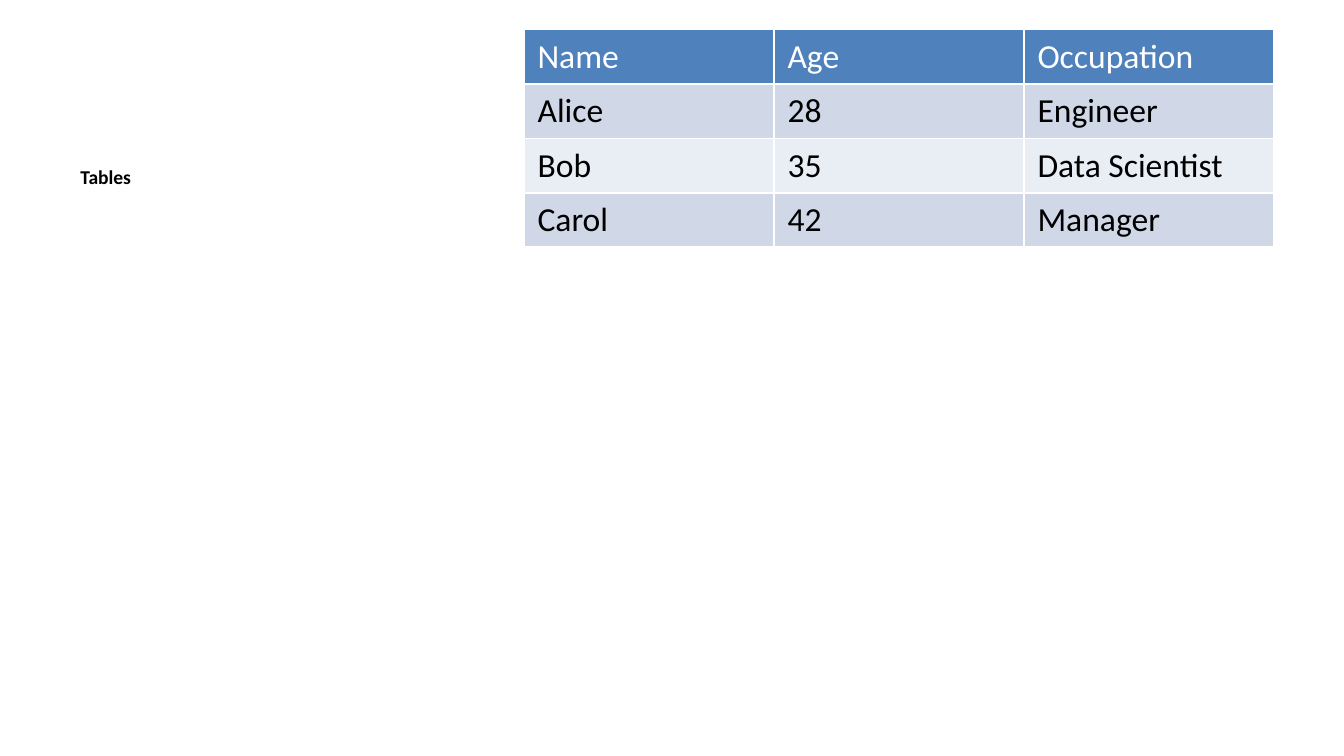
from lxml import etree
from pptx import Presentation
from pptx import util as u
from pptx.dml.color import RGBColor
from pptx.oxml.ns import qn

WHITE = RGBColor(0xFF, 0xFF, 0xFF)
BLACK = RGBColor(0x00, 0x00, 0x00)
HEADER_BLUE = RGBColor(0x4F, 0x81, 0xBD)
BAND_DARK = RGBColor(0xD0, 0xD8, 0xE8)
BAND_LIGHT = RGBColor(0xE9, 0xED, 0xF4)

PEOPLE = [
    ("Name", "Age", "Occupation"),
    ("Alice", "28", "Engineer"),
    ("Bob", "35", "Data Scientist"),
    ("Carol", "42", "Manager"),
]


def style_font(font, color, **values):
    for name, value in {"name": "Calibri", **values}.items():
        setattr(font, name, value)
    font.color.rgb = color


def add_borders(cell, color, width):
    properties = cell._tc.get_or_add_tcPr()
    for position, side in enumerate(("lnL", "lnR", "lnT", "lnB")):
        line = etree.Element(qn(f"a:{side}"), w=str(width))
        fill = etree.SubElement(line, qn("a:solidFill"))
        etree.SubElement(fill, qn("a:srgbClr"), val=str(color))
        properties.insert(position, line)


prs = Presentation()
prs.slide_width = u.Inches(10)
prs.slide_height = u.Inches(10 * 9 / 16)
slide = prs.slides.add_slide(prs.slide_layouts[6])

heading = slide.shapes.add_textbox(
    u.Inches(0.5), u.Inches(1.18), u.Inches(3.29), u.Inches(3.85)
).text_frame
heading.word_wrap = True
heading.text = "Tables"
heading.paragraphs[0].space_before = u.Pt(30)
style_font(heading.paragraphs[0].runs[0].font, BLACK, size=u.Pt(10.5), bold=True)

people = slide.shapes.add_table(
    len(PEOPLE), len(PEOPLE[0]),
    u.Inches(3.9), u.Inches(0.22), u.Inches(5.58), u.Inches(1.62),
).table

for row, person in enumerate(PEOPLE):
    background = HEADER_BLUE if row == 0 else BAND_DARK if row % 2 else BAND_LIGHT
    for column, entry in enumerate(person):
        cell = people.cell(row, column)
        cell.text = entry
        cell.fill.solid()
        cell.fill.fore_color.rgb = background
        add_borders(cell, WHITE, u.Pt(1))
        style_font(
            cell.text_frame.paragraphs[0].runs[0].font,
            BLACK if row else WHITE, size=u.Pt(18), bold=False,
        )

prs.save("out.pptx")
